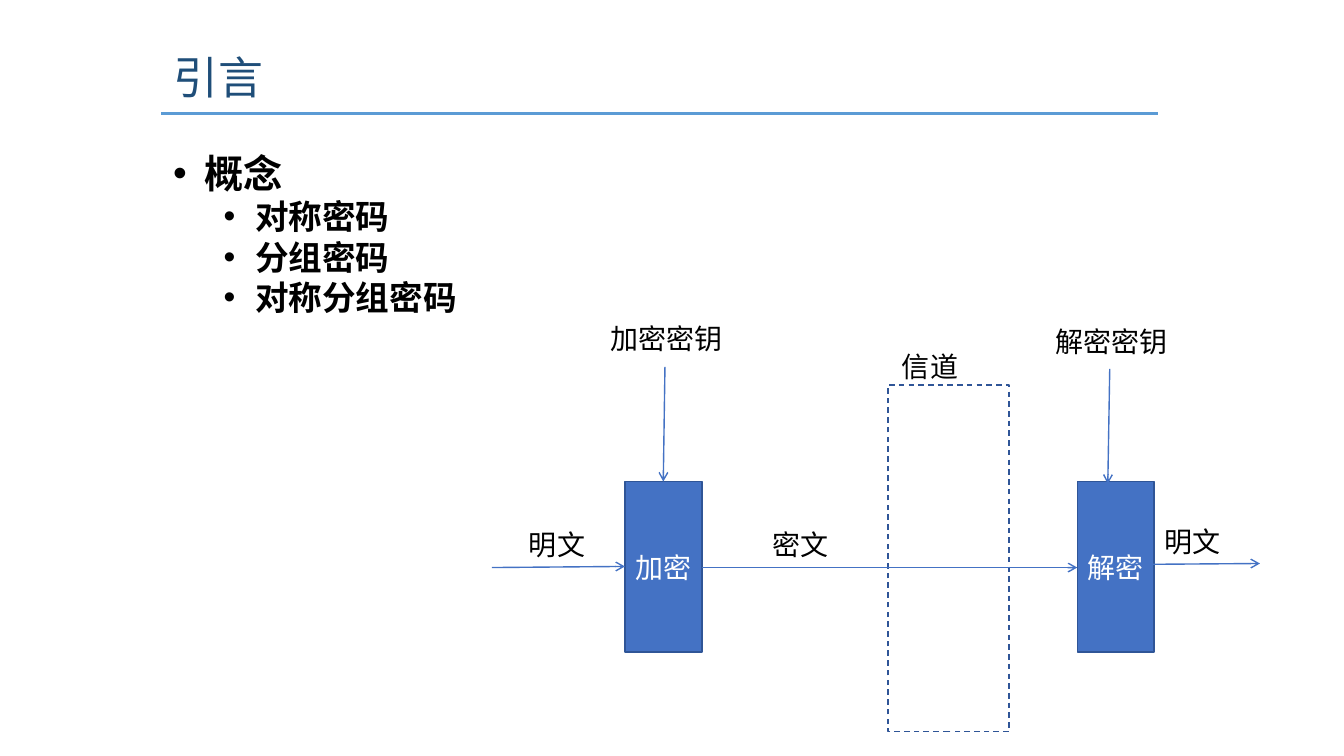
from lxml import etree
from pptx import Presentation
from pptx.dml.color import RGBColor
from pptx.enum import dml, shapes, text
from pptx.oxml import ns
from pptx.util import Pt

HUES = {"title": "1F4E79", "rule": "5B9BD5", "ink": "000000", "white": "FFFFFF",
        "blue": "4472C4", "edge": "2F5597"}


def hue(name):
    return RGBColor.from_string(HUES[name])


def style(para, size, name="ink", bold=False):
    font = para.font
    font.name, font.size, font.bold = "Arial", Pt(size), bold
    font.color.rgb = hue(name)


def sub(node, tag, **attrs):
    return etree.SubElement(node, ns.qn(tag), attrs)


def add_title(slide, words):
    title = slide.shapes.title
    title.left, title.top, title.width, title.height = Pt(124), Pt(38), Pt(289), Pt(38)
    frame = title.text_frame
    frame.margin_left = frame.margin_right = frame.margin_top = frame.margin_bottom = 0
    frame.vertical_anchor = text.MSO_ANCHOR.MIDDLE
    frame.text = words
    para = frame.paragraphs[0]
    para.alignment = text.PP_ALIGN.LEFT
    para.line_spacing = 0.93
    style(para, 32, "title")


def add_text(slide, left, top, width, height):
    frame = slide.shapes.add_textbox(Pt(left), Pt(top), Pt(width), Pt(height)).text_frame
    frame.word_wrap = True
    frame.auto_size = text.MSO_AUTO_SIZE.SHAPE_TO_FIT_TEXT
    return frame


def add_label(slide, words, left, top, width):
    frame = add_text(slide, left, top, width, 31.5)
    frame.text = words
    style(frame.paragraphs[0], 20)


def add_list(slide, items):
    frame = add_text(slide, 116.6, 103, 709, 128)
    for i, (level, words) in enumerate(items):
        para = frame.add_paragraph() if i else frame.paragraphs[0]
        para.text = words
        para.level = level
        props = para._p.get_or_add_pPr()
        props.set("marL", str(Pt(22.5 + 36 * level)))
        props.set("indent", str(Pt(-22.5)))
        sub(props, "a:buFont", typeface="Arial")
        sub(props, "a:buChar", char="•")
        style(para, 28 - 4 * level, bold=True)


def add_box(slide, left, top, width, height, words=None):
    box = slide.shapes.add_shape(shapes.MSO_SHAPE.RECTANGLE, Pt(left), Pt(top), Pt(width), Pt(height))
    box.shadow.inherit = False
    box.line.color.rgb = hue("edge")
    box.line.width = Pt(1)
    if words:
        box.fill.solid()
        box.fill.fore_color.rgb = hue("blue")
        frame = box.text_frame
        frame.vertical_anchor = text.MSO_ANCHOR.MIDDLE
        frame.text = words
        frame.paragraphs[0].alignment = text.PP_ALIGN.CENTER
        style(frame.paragraphs[0], 20, "white")
    else:
        box.fill.background()
        box.line.dash_style = dml.MSO_LINE.DASH


def add_line(slide, x1, y1, x2, y2, name="blue", width=1, arrow=True):
    line = slide.shapes.add_connector(shapes.MSO_CONNECTOR.STRAIGHT, Pt(x1), Pt(y1), Pt(x2), Pt(y2))
    line.line.color.rgb = hue(name)
    line.line.width = Pt(width)
    if arrow:
        sub(line.line._get_or_add_ln(), "a:tailEnd", type="arrow")
    sub(line._element.spPr, "a:effectLst")


def main():
    deck = Presentation()
    deck.slide_width, deck.slide_height = Pt(960), Pt(540)
    slide = deck.slides.add_slide(deck.slide_layouts[5])

    add_title(slide, "引言")
    add_line(slide, 115.2, 81.2, 827, 81.2, "rule", 2.28, False)
    add_list(slide, [(0, "概念"), (1, "对称密码"), (1, "分组密码"), (1, "对称分组密码")])

    for words, left in (("加密", 446.4), ("解密", 769.5)):
        add_box(slide, left, 344, 55, 121.7, words)
    add_box(slide, 634.3, 275, 86.4, 247.7)

    for ends in ((351.4, 405.4, 446.4, 404.6), (501.1, 405.4, 769.5, 405.4),
                 (805, 403.2, 900, 402.5), (475, 262, 473.8, 344),
                 (792.7, 263.5, 791.3, 345.6)):
        add_line(slide, *ends)

    for label in (("明文", 370.8, 373, 66), ("密文", 545, 373, 66),
                  ("信道", 637.2, 246.2, 74), ("明文", 824.4, 370.8, 66),
                  ("加密密钥", 429.1, 226.1, 115), ("解密密钥", 746.6, 228.2, 115)):
        add_label(slide, *label)

    deck.save("out.pptx")


if __name__ == "__main__":
    main()
